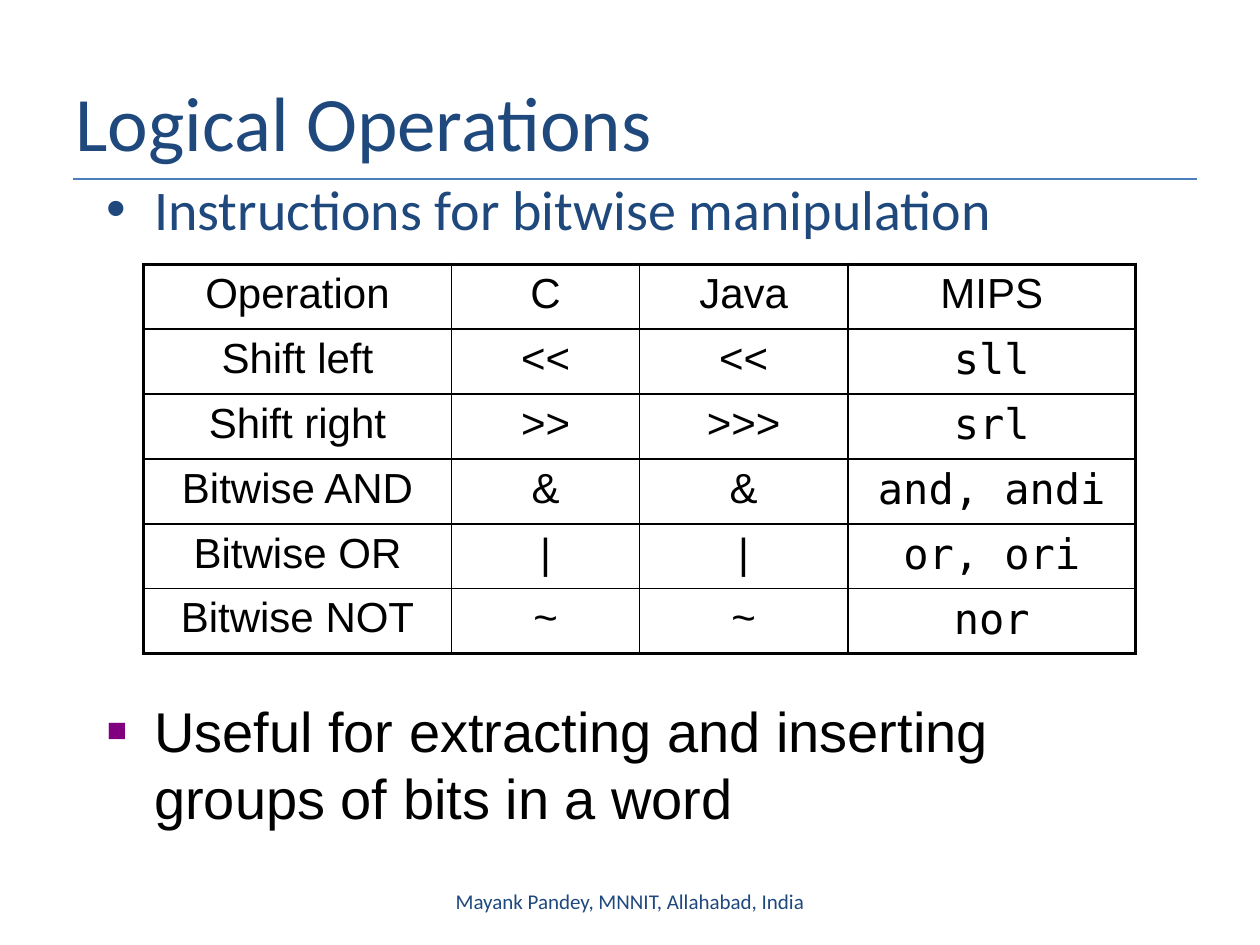
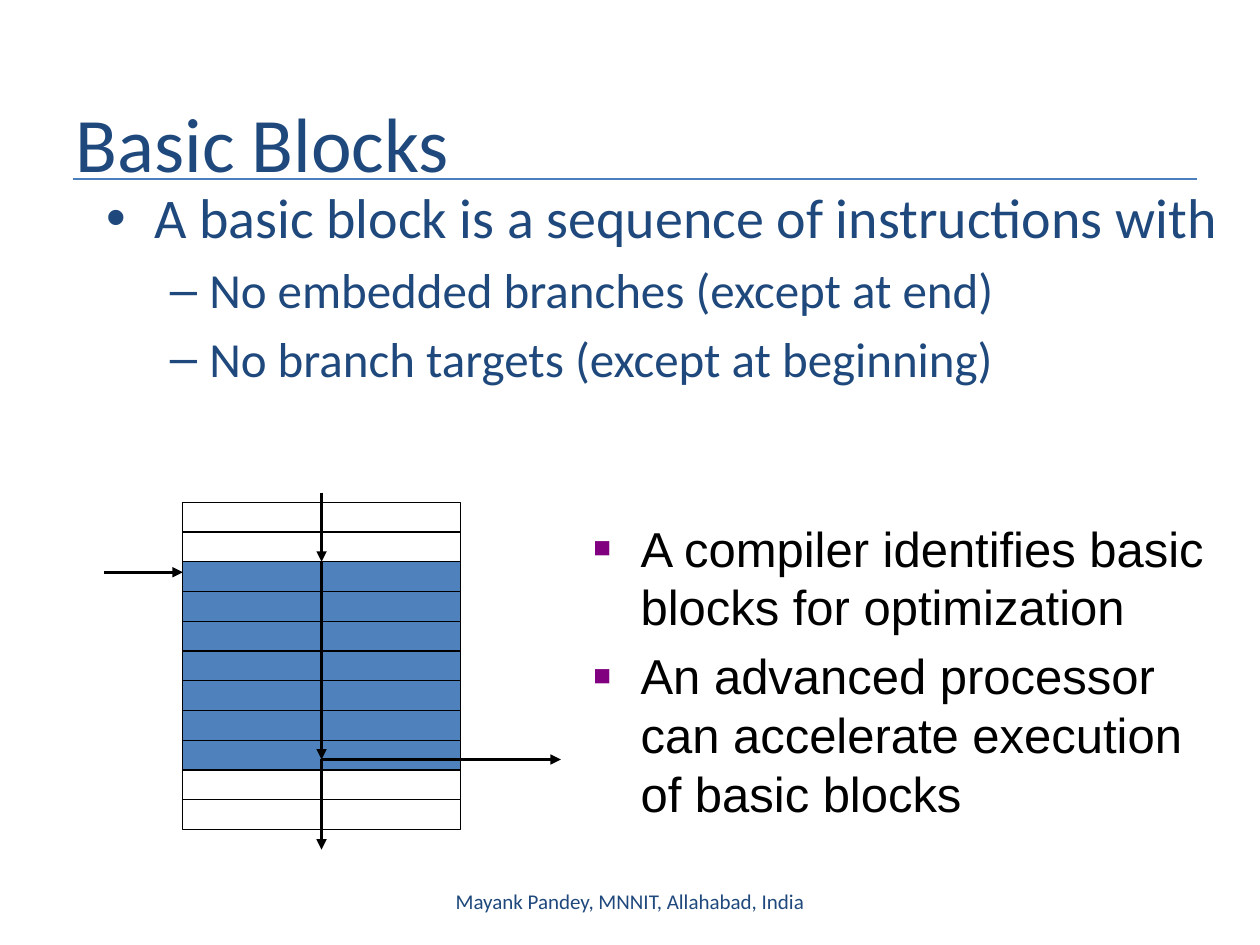
from lxml.etree import SubElement
from pptx import Presentation
from pptx.dml.color import RGBColor
from pptx.enum.shapes import MSO_CONNECTOR as Connector, MSO_SHAPE as Shape
from pptx.enum.text import MSO_ANCHOR as Anchor, PP_ALIGN as Align
from pptx.oxml.ns import qn
from pptx.util import Pt

rgb = RGBColor.from_string
NAVY, BLACK, BLUE, RULE, PURPLE = "1F497D", "000000", "4F81BD", "4B7EBC", "800080"
DOT = dict(char="•", margin=27, hang=27, font="Calibri", colour=NAVY)
DASH = dict(char="–", margin=58.5, hang=22.5, font="Calibri", colour=NAVY)
SQUARE = dict(char="■", margin=27, hang=27, font="Arial", colour=BLACK)


def add_bullets(page, place, items):
    frame = page.shapes.add_textbox(*map(Pt, place)).text_frame
    frame.word_wrap = True
    for index, (style, size, text) in enumerate(items):
        para = frame.add_paragraph() if index else frame.paragraphs[0]
        props = para._p.get_or_add_pPr()
        props.set("marL", str(Pt(style["margin"])))
        props.set("indent", str(-Pt(style["hang"])))
        if style is SQUARE:
            SubElement(SubElement(props, qn("a:buClr")), qn("a:srgbClr"), val=PURPLE)
            SubElement(props, qn("a:buSzPct"), val="60000")
        SubElement(props, qn("a:buFont"), typeface="Arial")
        SubElement(props, qn("a:buChar"), char=style["char"])
        if index:
            para.space_before = Pt(size * 0.2)
        span = para.add_run()
        span.text = text
        span.font.name = style["font"]
        span.font.size = Pt(size)
        span.font.color.rgb = rgb(style["colour"])


def add_line(page, ends, colour, width, arrow=False):
    line = page.shapes.add_connector(Connector.STRAIGHT, *map(Pt, ends))
    line.line.color.rgb = rgb(colour)
    line.line.width = Pt(width)
    if arrow:
        SubElement(line.line._get_or_add_ln(), qn("a:tailEnd"), type="triangle")
    SubElement(line._element.spPr, qn("a:effectLst"))
    return line


deck = Presentation()
deck.slide_width, deck.slide_height = Pt(720), Pt(540)

for heading, top in (("Logical Operations", 24), ("Basic Blocks", 36)):
    page = deck.slides.add_slide(deck.slide_layouts[5])
    add_line(page, (42, 102.25, 684, 102.25), RULE, 0.75)
    title = page.shapes.title
    title.left, title.top, title.width, title.height = map(Pt, (36, top, 648, 90))
    footer = page.shapes.add_textbox(Pt(246), Pt(500.5), Pt(228), Pt(28.75))
    for box, text, size, align in (
        (title, heading, 44, Align.LEFT),
        (footer, "Mayank Pandey, MNNIT, Allahabad, India", 12, Align.CENTER),
    ):
        frame = box.text_frame
        frame.word_wrap = True
        frame.vertical_anchor = Anchor.MIDDLE
        para = frame.paragraphs[0]
        para.alignment = align
        span = para.add_run()
        span.text = text
        span.font.name = "Calibri"
        span.font.size = Pt(size)
        span.font.color.rgb = rgb(NAVY)

logic_page, blocks_page = deck.slides

add_bullets(logic_page, (54, 96, 651.5, 54.5),
            [(DOT, 32, "Instructions for bitwise manipulation")])
operations = [
    ("Operation", "C", "Java", "MIPS"),
    ("Shift left", "<<", "<<", "sll"),
    ("Shift right", ">>", ">>>", "srl"),
    ("Bitwise AND", "&", "&", "and, andi"),
    ("Bitwise OR", "|", "|", "or, ori"),
    ("Bitwise NOT", "~", "~", "nor"),
]
widths = (176, 107.5, 119, 164.5)
last_row, last_column = len(operations) - 1, len(widths) - 1
table = logic_page.shapes.add_table(
    len(operations), len(widths), Pt(82), Pt(151), Pt(sum(widths)), Pt(222.6)).table
table.first_row = table.horz_banding = False
for column, width in zip(table.columns, widths):
    column.width = Pt(width)
for row_index, values in enumerate(operations):
    table.rows[row_index].height = Pt(37.1)
    for column_index, value in enumerate(values):
        cell = table.cell(row_index, column_index)
        borders = {
            "a:lnL": 2.25 if column_index == 0 else 1,
            "a:lnR": 2.25 if column_index == last_column else 1,
            "a:lnT": {0: 2.25, 1: 1.5}.get(row_index, 1),
            "a:lnB": {0: 1.5, last_row: 2.25}.get(row_index, 1),
        }
        for side, weight in borders.items():
            edge = SubElement(cell._tc.get_or_add_tcPr(), qn(side), w=str(Pt(weight)))
            SubElement(SubElement(edge, qn("a:solidFill")), qn("a:srgbClr"), val=BLACK)
        cell.fill.background()
        para = cell.text_frame.paragraphs[0]
        para.alignment = Align.CENTER
        span = para.add_run()
        span.text = value
        is_code = row_index > 0 and column_index == last_column
        span.font.name = "DejaVu Sans Mono" if is_code else "Arial"
        span.font.size = Pt(24)
        span.font.color.rgb = rgb(BLACK)
add_bullets(logic_page, (54, 394.5, 612, 85),
            [(SQUARE, 32, "Useful for extracting and inserting groups of bits in a word")])

add_bullets(blocks_page, (54, 101, 651.5, 181.5), [
    (DOT, 32, "A basic block is a sequence of instructions with"),
    (DASH, 28, "No embedded branches (except at end)"),
    (DASH, 28, "No branch targets (except at beginning)"),
])

left, top, width, height = 104.5, 287, 158.5, 17
instructions = []
for index in range(11):
    box = blocks_page.shapes.add_shape(
        Shape.RECTANGLE, Pt(left), Pt(top + index * height), Pt(width), Pt(height))
    box.shadow.inherit = False
    box.line.color.rgb = rgb(BLACK)
    box.line.width = Pt(0.75)
    if 2 <= index <= 8:
        box.fill.solid()
        box.fill.fore_color.rgb = rgb(BLUE)
    else:
        box.fill.background()
    instructions.append(box)

axis, block_top, branch = left + width / 2, top + 2 * height, 434
flow_in, flow_through, flow_out, branch_out, branch_in = [
    add_line(blocks_page, ends, BLACK, 1.5, arrow=True)
    for ends in (
        (axis, 281.5, axis, block_top),
        (axis, block_top, axis, branch),
        (axis, branch, axis, 485.5),
        (axis, branch, 320.5, branch),
        (59.5, 327, left, 327),
    )
]
flow_in.end_connect(instructions[2], 0)
flow_through.begin_connect(instructions[2], 0)

add_bullets(blocks_page, (332, 292.5, 368, 187), [
    (SQUARE, 28, "A compiler identifies basic blocks for optimization"),
    (SQUARE, 28, "An advanced processor can accelerate execution of basic blocks"),
])

deck.save("out.pptx")
